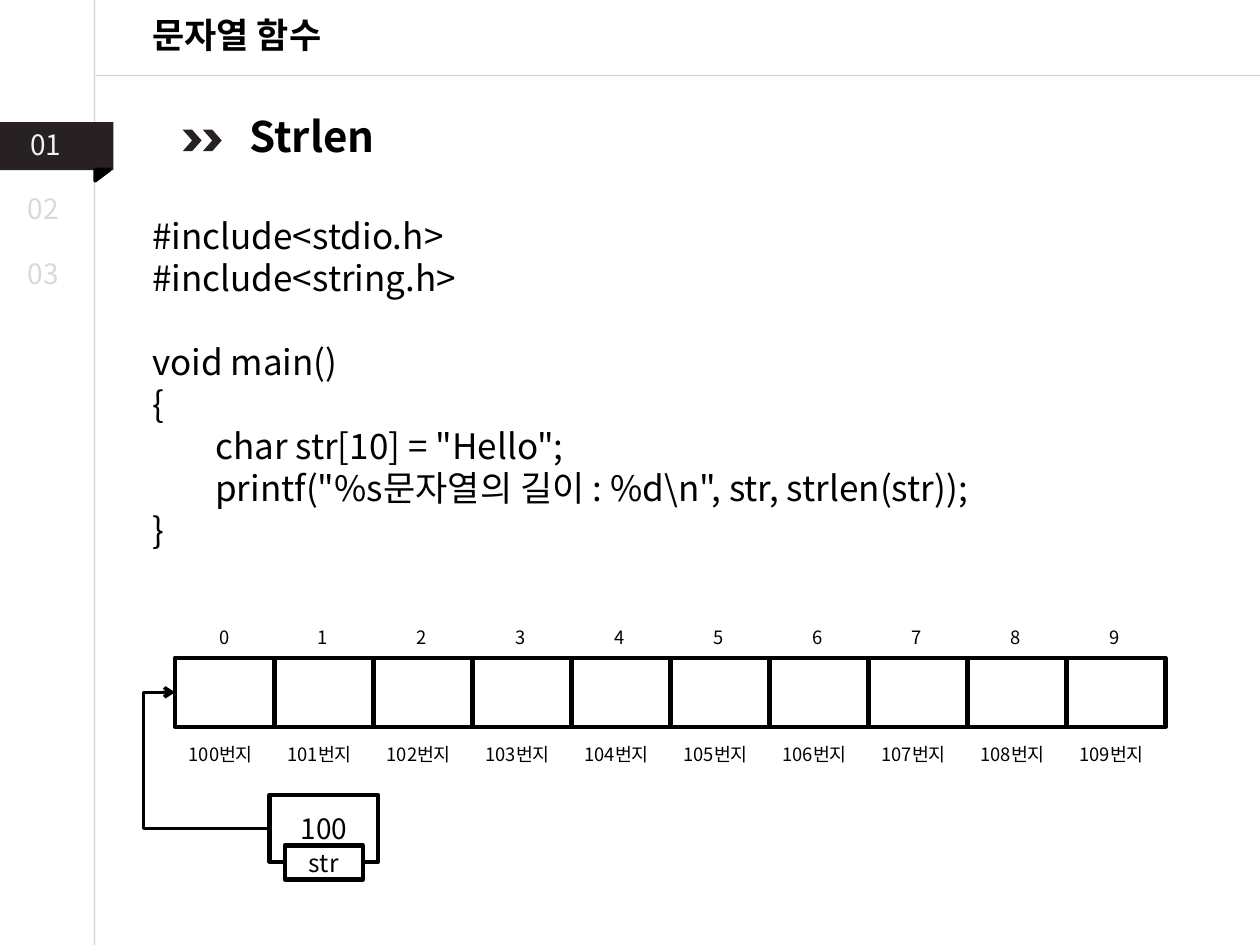
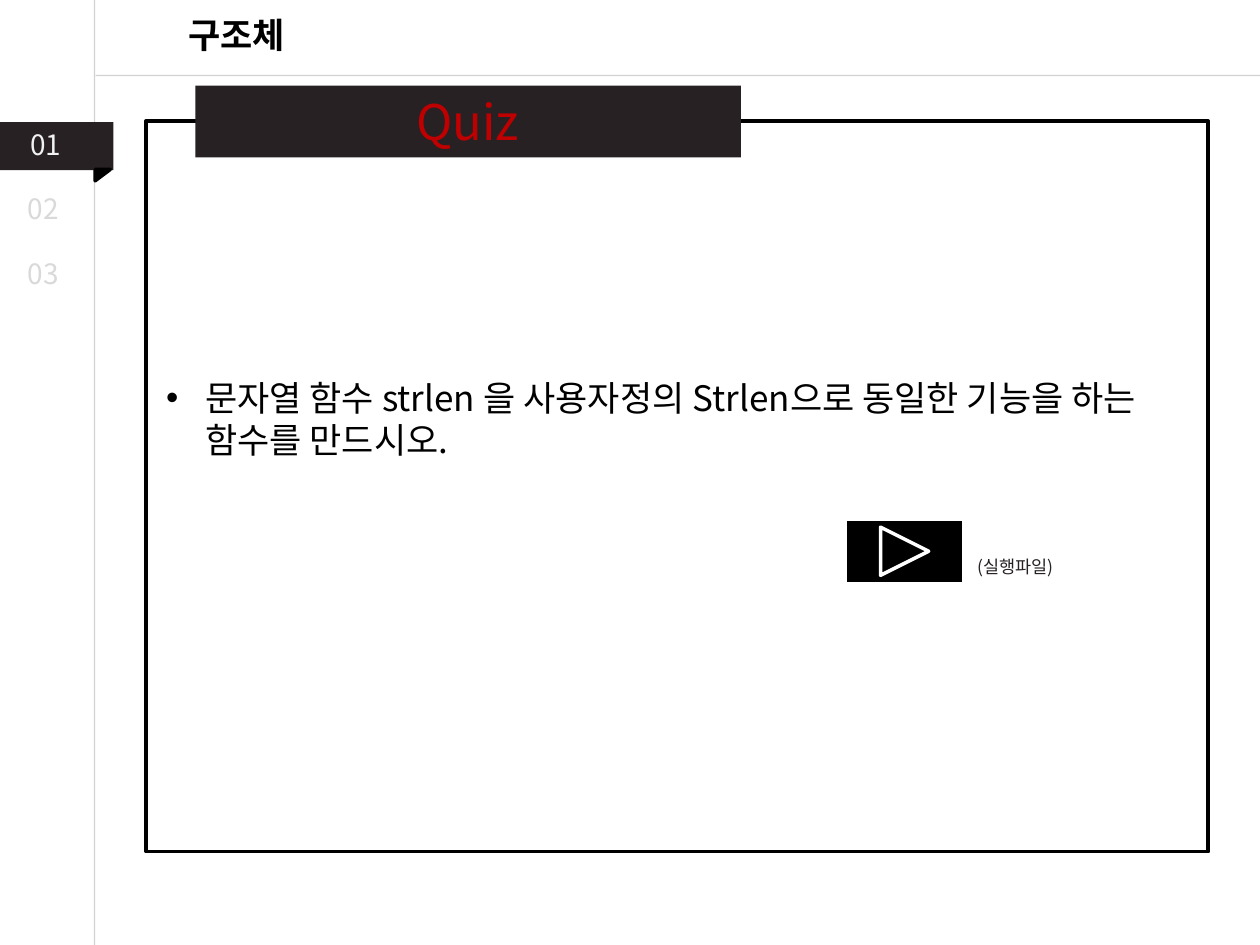
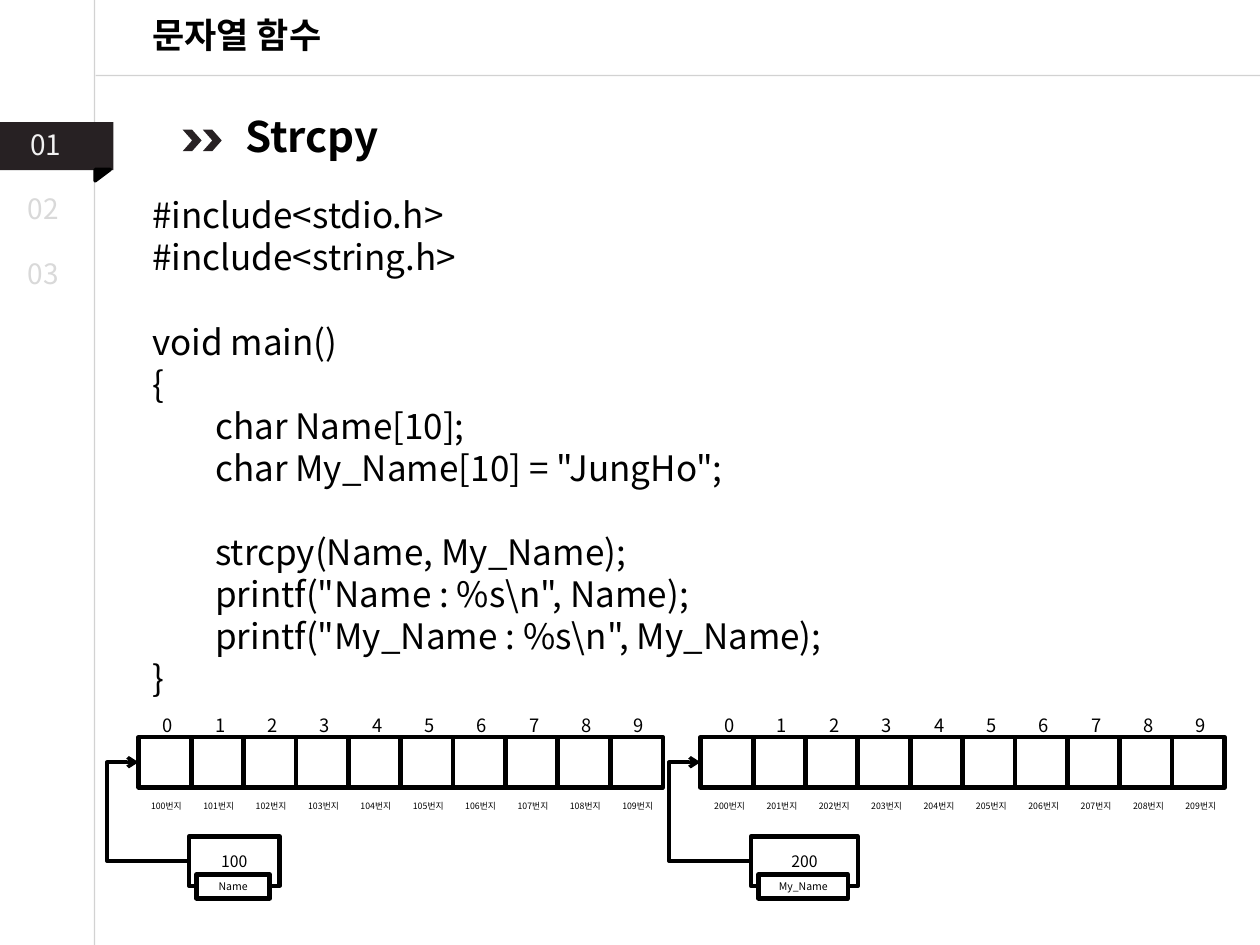
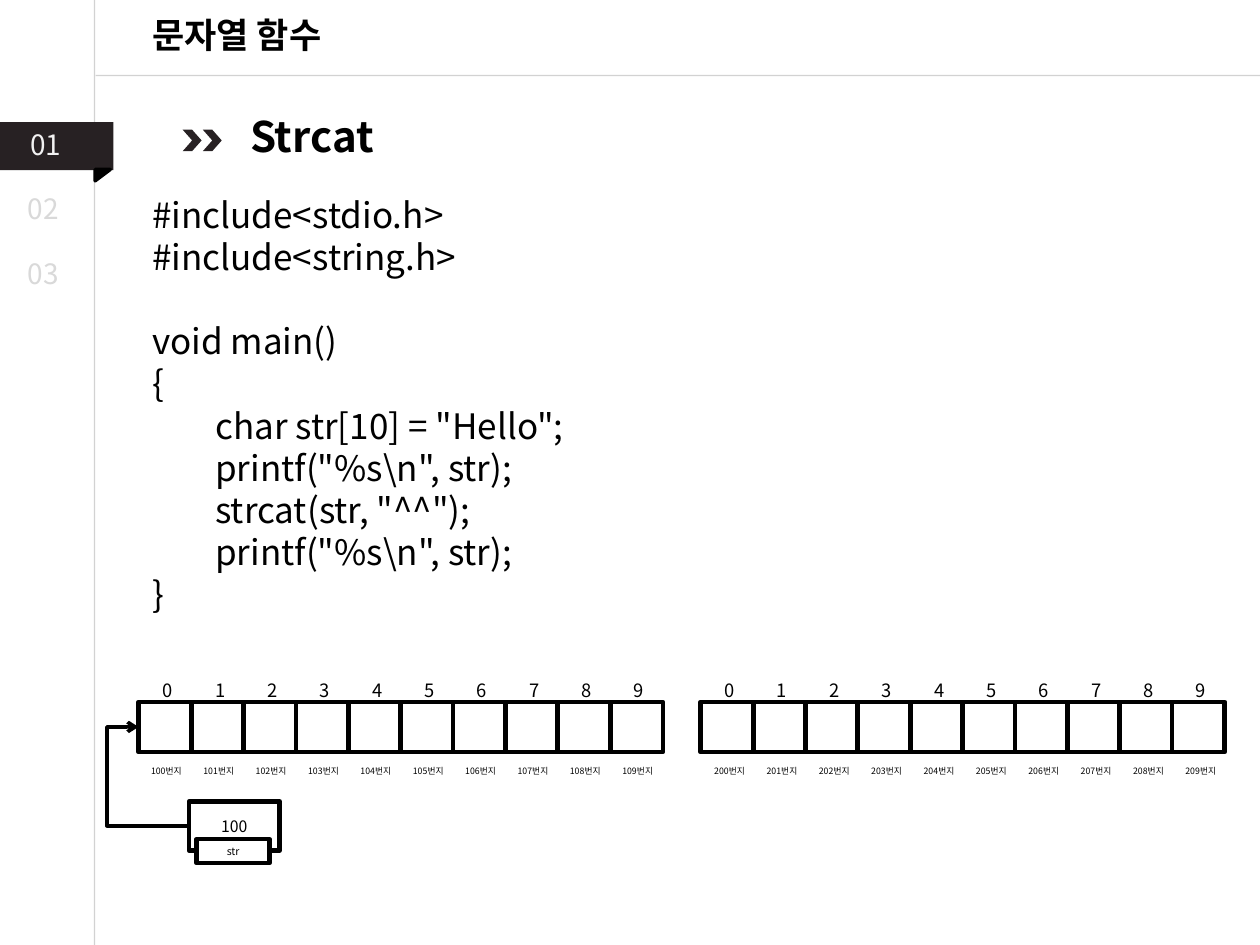
from dataclasses import dataclass, replace
from pptx import Presentation
from pptx.dml.color import RGBColor
from pptx.enum import shapes as sh, text as tx
from pptx.oxml import parse_xml
from pptx.oxml.ns import nsdecls
from pptx.util import Inches, Pt

BLACK = RGBColor(0x00, 0x00, 0x00)
WHITE = RGBColor(0xFF, 0xFF, 0xFF)
INK = RGBColor(0x27, 0x21, 0x23)
RED = RGBColor(0xC0, 0x00, 0x00)
RULE = RGBColor(0xA6, 0xA6, 0xA6)
PALE = RGBColor(0xD9, 0xD9, 0xD9)
LIGHT = RGBColor(0xF2, 0xF2, 0xF2)
FONT = "Noto Sans CJK KR"
KIND = sh.MSO_SHAPE
COUNT = 10


@dataclass
class Style:
    size: float
    color: RGBColor = BLACK
    bold: bool = False
    edge: RGBColor = None


@dataclass
class Strip:
    width: float
    cell: tuple
    index: tuple
    addr: tuple
    addr_size: float
    wrap: bool
    box: tuple
    box_size: float
    tag: tuple
    tag_size: float


BIG = Strip(7.86, (0.79, 0.55), (0.25, -0.3, 0.3, 0.29),
            (0.01, 0.63, 0.78, 0.28), 10.5, False,
            (0.75, 1.09, 0.86, 0.53), 16, (0.87, 1.49, 0.62, 0.27), 14)
SMALL = Strip(4.16, (0.42, 0.4), (0.13, -0.23, 0.16, 0.21),
              (0, 0.46, 0.45, 0.2), 5, True,
              (0.4, 0.79, 0.72, 0.39), 9, (0.46, 1.09, 0.58, 0.19), 6)
WIDE = replace(SMALL, addr=(0.01, 0.46, 0.47, 0.19),
               box=(0.4, 0.79, 0.85, 0.39), tag=(0.46, 1.09, 0.71, 0.19))

HEAD = ["#include<stdio.h>", "#include<string.h>", "", "void main()", "{"]
STRLEN = HEAD + [
    '\tchar str[10] = "Hello";',
    '\tprintf("%s문자열의 길이 : %d\\n", str, strlen(str));',
    "}",
]
STRCPY = HEAD + [
    "\tchar Name[10];",
    '\tchar My_Name[10] = "JungHo";',
    "",
    "\tstrcpy(Name, My_Name);",
    '\tprintf("Name : %s\\n", Name);',
    '\tprintf("My_Name : %s\\n", My_Name);',
    "}",
]
STRCAT = HEAD + [
    '\tchar str[10] = "Hello";',
    '\tprintf("%s\\n", str);',
    '\tstrcat(str, "^^");',
    '\tprintf("%s\\n", str);',
    "}",
]


def shift(x, y, part):
    return x + part[0], y + part[1], part[2], part[3]


def add_run(para, words, style):
    run = para.add_run()
    run.text = words
    font = run.font
    font.name, font.size, font.bold = FONT, Pt(style.size), style.bold
    font.color.rgb = style.color
    props = run._r.get_or_add_rPr()
    props.get_or_add_latin().addnext(parse_xml(
        f'<a:ea {nsdecls("a")} typeface="{FONT}"/>'))
    if style.edge is not None:
        props.insert(0, parse_xml(
            f'<a:ln {nsdecls("a")} w="9525"><a:solidFill><a:srgbClr val="{style.edge}">'
            '<a:alpha val="30000"/></a:srgbClr></a:solidFill></a:ln>'))


def add_text(slide, box, words, style, center=False, wrap=True):
    frame = slide.shapes.add_textbox(*map(Inches, box)).text_frame
    frame.word_wrap = wrap
    frame.auto_size = tx.MSO_AUTO_SIZE.SHAPE_TO_FIT_TEXT
    para = frame.paragraphs[0]
    if center:
        para.alignment = tx.PP_ALIGN.CENTER
    add_run(para, words, style)
    return frame


def add_box(slide, box, kind=KIND.RECTANGLE, fill=None, line=None, width=2.5):
    shape = slide.shapes.add_shape(kind, *map(Inches, box))
    shape.shadow.inherit = False
    if fill is None:
        shape.fill.background()
    else:
        shape.fill.solid()
        shape.fill.fore_color.rgb = fill
    if line is None:
        shape.line.fill.background()
    else:
        shape.line.color.rgb = line
        shape.line.width = Pt(width)
    return shape


def add_label(slide, box, words, size, fill=None):
    frame = add_box(slide, box, fill=fill, line=BLACK).text_frame
    frame.vertical_anchor = tx.MSO_ANCHOR.MIDDLE
    para = frame.paragraphs[0]
    para.alignment = tx.PP_ALIGN.CENTER
    add_run(para, words, Style(size))


def add_line(slide, kind, ends, color, width):
    line = slide.shapes.add_connector(kind, *map(Inches, ends))
    line.line.color.rgb = color
    line.line.width = Pt(width)
    line._element.spPr.append(parse_xml(f'<a:effectLst {nsdecls("a")}/>'))
    return line


def add_rule(slide, ends):
    line = add_line(slide, sh.MSO_CONNECTOR.STRAIGHT, ends, RULE, 0.75)
    tint = line.line._ln.solidFill.find(".//{*}srgbClr")
    tint.append(parse_xml(f'<a:alpha {nsdecls("a")} val="50000"/>'))


def add_arrow(slide, ends, lead):
    line = add_line(slide, sh.MSO_CONNECTOR.ELBOW, ends, BLACK, 2)
    span = ends[0] - ends[2]
    bend = round((span + lead) / span * 100000)
    line._element.spPr.prstGeom.get_or_add_avLst().append(parse_xml(
        f'<a:gd {nsdecls("a")} name="adj1" fmla="val {bend}"/>'))
    line.line._ln.append(parse_xml(f'<a:tailEnd {nsdecls("a")} type="arrow"/>'))


def add_frame(deck, title):
    slide = deck.slides.add_slide(deck.slide_layouts[6])
    add_rule(slide, (0.75, -0.41, 0.75, 7.77))
    add_rule(slide, (10.92, 0.6, 0.76, 0.6))
    add_box(slide, (-0.01, 0.97, 0.91, 0.38), fill=INK)
    fold = add_box(slide, (0.77, 1.33, 0.09, 0.12), KIND.RIGHT_TRIANGLE,
                   BLACK, BLACK, 2)
    fold.rotation = 90
    add_text(slide, (0.14, 0.96, 0.59, 0.37), "01", Style(16, LIGHT, edge=PALE))
    for top, mark in ((1.47, "02"), (1.99, "03")):
        add_text(slide, (0.12, top, 0.49, 0.37), mark, Style(16, PALE, edge=BLACK))
    add_text(slide, (0.81, 0.06, 2.14, 0.44), title,
             Style(20, bold=True, edge=PALE), center=True)
    return slide


def add_topic(slide, x, y, words):
    add_text(slide, (x, y, 2.51, 0.5), words,
             Style(24, bold=True, edge=PALE), center=True)
    for left in (0.39, 0.23):
        add_box(slide, (x + left, y + 0.2, 0.15, 0.17), KIND.CHEVRON, INK)


def add_code(slide, box, lines):
    style = Style(20)
    frame = add_text(slide, box, lines[0], style)
    gap = False
    for line in lines[1:]:
        if not line:
            gap = True
            continue
        para = frame.add_paragraph()
        if gap:
            para.space_before = Pt(24)
        add_run(para, line, style)
        gap = False


def add_strip(slide, x, y, kit, base, name=None):
    wide, high = kit.cell
    step = (kit.width - wide) / (COUNT - 1)
    for i in range(COUNT):
        left = x + i * step
        add_box(slide, (left, y, wide, high), line=BLACK)
        add_text(slide, shift(left, y, kit.index), str(i), Style(10.5), wrap=False)
        add_text(slide, shift(left, y, kit.addr), f"{base + i}번지",
                 Style(kit.addr_size), wrap=kit.wrap)
    if name:
        box = shift(x, y, kit.box)
        add_label(slide, box, str(base), kit.box_size)
        add_label(slide, shift(x, y, kit.tag), name, kit.tag_size, WHITE)
        add_arrow(slide, (box[0], box[1] + box[3] / 2, x, y + high / 2), 0.25)


def add_lesson(deck, topic, top, high, lines, strips):
    slide = add_frame(deck, "문자열 함수")
    add_code(slide, (1.11, top, 8.43, high), lines)
    add_topic(slide, 1.22, 0.83, topic)
    for strip in strips:
        add_strip(slide, *strip)


def add_play(slide, x, y):
    add_box(slide, (x, y, 0.94, 0.51), KIND.ACTION_BUTTON_FORWARD_OR_NEXT,
            BLACK, WHITE, 2)
    add_text(slide, (x + 0.95, y + 0.24, 0.86, 0.27), "(실행파일)",
             Style(10, INK, edge=BLACK))


def add_quiz(deck, x, y):
    slide = add_frame(deck, "구조체")
    add_box(slide, (x, y, 8.43, 5.8), line=BLACK, width=2)
    add_box(slide, (x + 0.39, y - 0.28, 4.33, 0.57), fill=INK)
    add_text(slide, (x, y - 0.28, 5.1, 0.57), "Quiz",
             Style(28, RED, edge=BLACK), center=True)
    task = add_text(
        slide, (x + 0.06, y + 1.98, 8.36, 0.77),
        "문자열 함수 strlen 을 사용자정의 Strlen으로 동일한 기능을 하는 함수를 만드시오.",
        Style(20, edge=BLACK))
    props = task.paragraphs[0]._p.get_or_add_pPr()
    props.set("marL", str(Inches(0.31)))
    props.set("indent", str(-Inches(0.31)))
    props.append(parse_xml(f'<a:buFont {nsdecls("a")} typeface="Arial"/>'))
    props.append(parse_xml(f'<a:buChar {nsdecls("a")} char="•"/>'))
    add_play(slide, x + 5.55, y + 3.16)


def main():
    deck = Presentation()
    deck.slide_width, deck.slide_height = Inches(10), Inches(7.5)
    add_lesson(deck, "Strlen", 1.65, 2.79, STRLEN, [(1.39, 5.22, BIG, 100, "str")])
    add_quiz(deck, 1.16, 0.96)
    add_lesson(deck, "Strcpy", 1.49, 4.11, STRCPY,
               [(1.1, 5.85, SMALL, 100, "Name"), (5.56, 5.85, WIDE, 200, "My_Name")])
    add_lesson(deck, "Strcat", 1.49, 3.47, STRCAT,
               [(1.1, 5.57, SMALL, 100, "str"), (5.56, 5.57, WIDE, 200)])
    deck.save("out.pptx")


if __name__ == "__main__":
    main()
